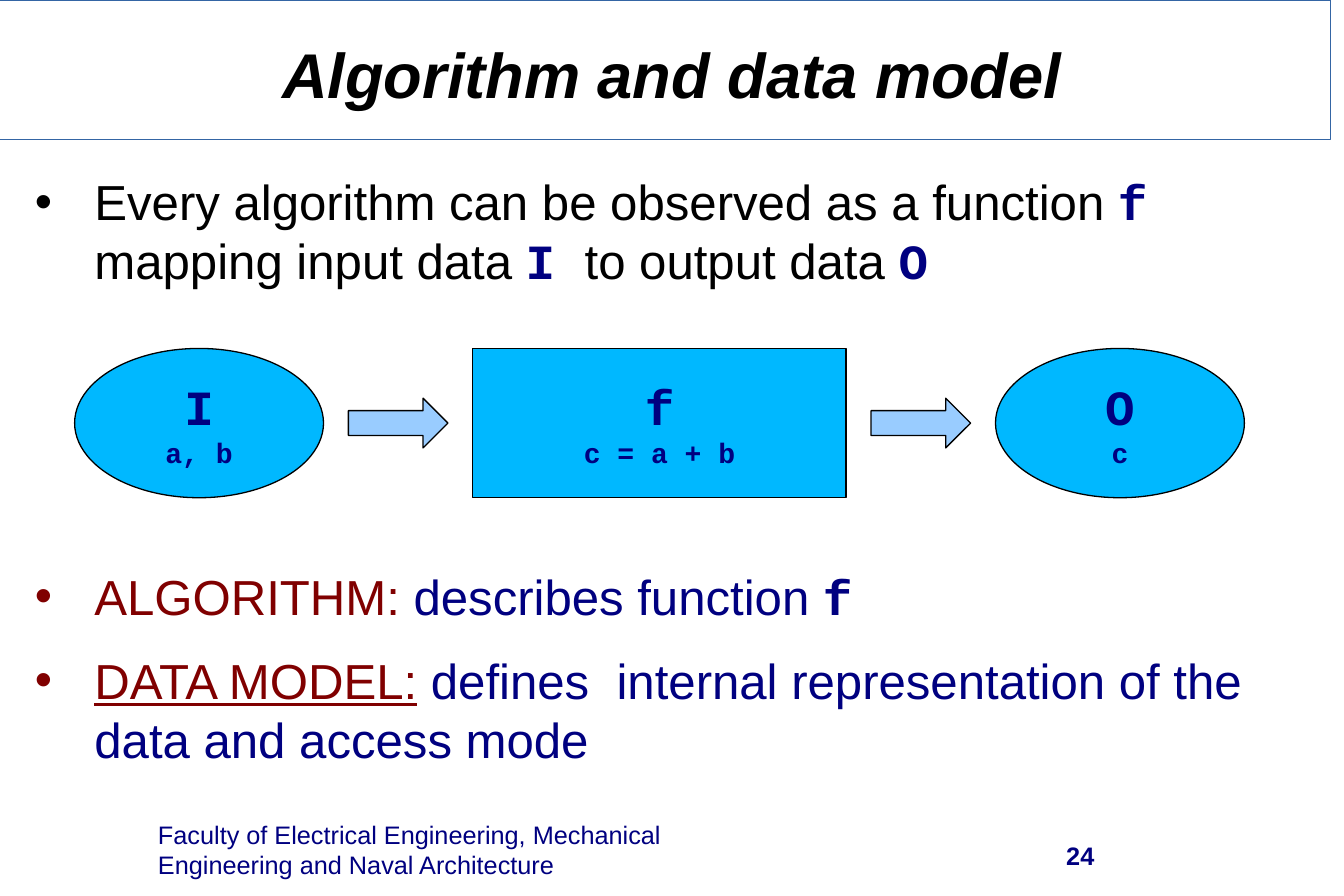
import dataclasses
import pptx
import pptx.util
import pptx.dml.color
import pptx.enum.shapes
import pptx.enum.text
import pptx.oxml.ns
import lxml.etree

Pt = pptx.util.Pt
KIND = pptx.enum.shapes.MSO_SHAPE
ALIGN = pptx.enum.text.PP_ALIGN
ANCHOR = pptx.enum.text.MSO_ANCHOR
WIDE = pptx.util.Inches(10.63)
HIGH = pptx.util.Inches(7.09)
COLS, ROWS = 54, 36


@dataclasses.dataclass(frozen=True)
class Theme:
    sans: str = "Arial"
    mono: str = "Courier New"
    black: str = "000000"
    white: str = "FFFFFF"
    navy: str = "000080"
    red: str = "800000"
    node: str = "00B8FF"
    arrow: str = "99CCFF"
    edge: str = "3465A4"
    head: float = 36
    main: float = 28
    note: float = 16
    foot: float = 14.4


look = Theme()
CODE = dict(face=look.mono, color=look.navy, bold=True)


def grid(col, row, cols, rows):
    return (round(col * WIDE / COLS), round(row * HIGH / ROWS),
            round(cols * WIDE / COLS), round(rows * HIGH / ROWS))


def tint(color):
    return pptx.dml.color.RGBColor.from_string(color)


def put(par, text, size=look.main, face=look.sans, color=look.black,
        bold=False, slant=False, under=False):
    run = par.add_run()
    run.text = text
    font = run.font
    font.size, font.name = Pt(size), face
    font.bold, font.italic, font.underline = bold, slant, under
    font.color.rgb = tint(color)


def frame(shape, anchor=ANCHOR.MIDDLE):
    text = shape.text_frame
    text.margin_left = text.margin_right = 0
    text.margin_top = text.margin_bottom = 0
    text.word_wrap = True
    text.auto_size = pptx.enum.text.MSO_AUTO_SIZE.NONE
    text.vertical_anchor = anchor
    return text


def move(shape, box):
    shape.left, shape.top, shape.width, shape.height = box


def draw(slide, kind, box, fill, edge=look.black):
    shape = slide.shapes.add_shape(kind, *box)
    shape.shadow.inherit = False
    shape.fill.solid()
    shape.fill.fore_color.rgb = tint(fill)
    shape.line.color.rgb = tint(edge)
    shape.line.width = 0
    return shape


def header(slide, box):
    title = slide.shapes.title
    move(title, box)
    left, top, width, height = box
    shift = round(width * 0.01)
    panel = draw(slide, KIND.RECTANGLE,
                 (left - shift, top, width, round(height * 0.95)),
                 look.white, look.edge)
    title._element.addprevious(panel._element)
    par = frame(title).paragraphs[0]
    par.alignment = ALIGN.CENTER
    put(par, "Algorithm and data model", size=look.head, bold=True, slant=True)


def body(slide, box):
    holder = slide.placeholders[1]
    move(holder, box)
    text = frame(holder, ANCHOR.TOP)
    items = [
        (0, [("Every algorithm can be observed as a function ", {}),
             ("f", CODE), (" mapping input data ", {}), ("I ", CODE),
             ("to output data ", {}), ("O", CODE)]),
        (143.4, [("ALGORITHM: ", dict(color=look.red)),
                 ("describes function ", dict(color=look.navy)),
                 ("f", CODE)]),
        (0, [("DATA MODEL:", dict(color=look.red, under=True)), (" ", {}),
             ("defines  internal representation of the data and access mode",
              dict(color=look.navy))]),
    ]
    for rank, (gap, runs) in enumerate(items):
        par = text.add_paragraph() if rank else text.paragraphs[0]
        props = par._p.get_or_add_pPr()
        props.set("marL", str(pptx.util.Inches(0.55)))
        props.set("indent", str(-pptx.util.Inches(0.47)))
        mark = lxml.etree.SubElement(props, pptx.oxml.ns.qn("a:buChar"))
        mark.set("char", "•")
        par.space_before, par.space_after = Pt(gap), Pt(14.2)
        for words, style in runs:
            put(par, words, **style)


def flow(slide, col, row):
    nodes = [(KIND.OVAL, 10, "I", "a, b"),
             (KIND.RECTANGLE, 15, "f", "c = a + b"),
             (KIND.OVAL, 10, "O", "c")]
    for rank, (kind, cols, name, note) in enumerate(nodes):
        if rank:
            draw(slide, KIND.RIGHT_ARROW, grid(col + 1, row + 2, 4, 2),
                 look.arrow)
            col += 6
        text = frame(draw(slide, kind, grid(col, row, cols, 6), look.node))
        put(text.paragraphs[0], name, **CODE)
        put(text.add_paragraph(), note, size=look.note, **CODE)
        for par in text.paragraphs:
            par.alignment = ALIGN.CENTER
        col += cols


def label(slide, box, words, align, bold=False):
    par = frame(slide.shapes.add_textbox(*box)).paragraphs[0]
    par.alignment = align
    put(par, words, size=look.foot, color=look.navy, bold=bold)


def footer(slide, row):
    label(slide, grid(6.35, row, 20.7, 2.25),
          "Faculty of Electrical Engineering, Mechanical Engineering "
          "and Naval Architecture", ALIGN.LEFT)
    label(slide, grid(29.3, row + 0.15, 14.67, 2.45), "24", ALIGN.RIGHT,
          bold=True)


def main():
    deck = pptx.Presentation()
    deck.slide_width, deck.slide_height = WIDE, HIGH
    slide = deck.slides.add_slide(deck.slide_layouts[1])
    header(slide, grid(0, 0, COLS, 5.9))
    body(slide, grid(1, 6.9, 52, 26.4))
    flow(slide, 3, 14)
    footer(slide, 33)
    deck.save("out.pptx")


if __name__ == "__main__":
    main()
